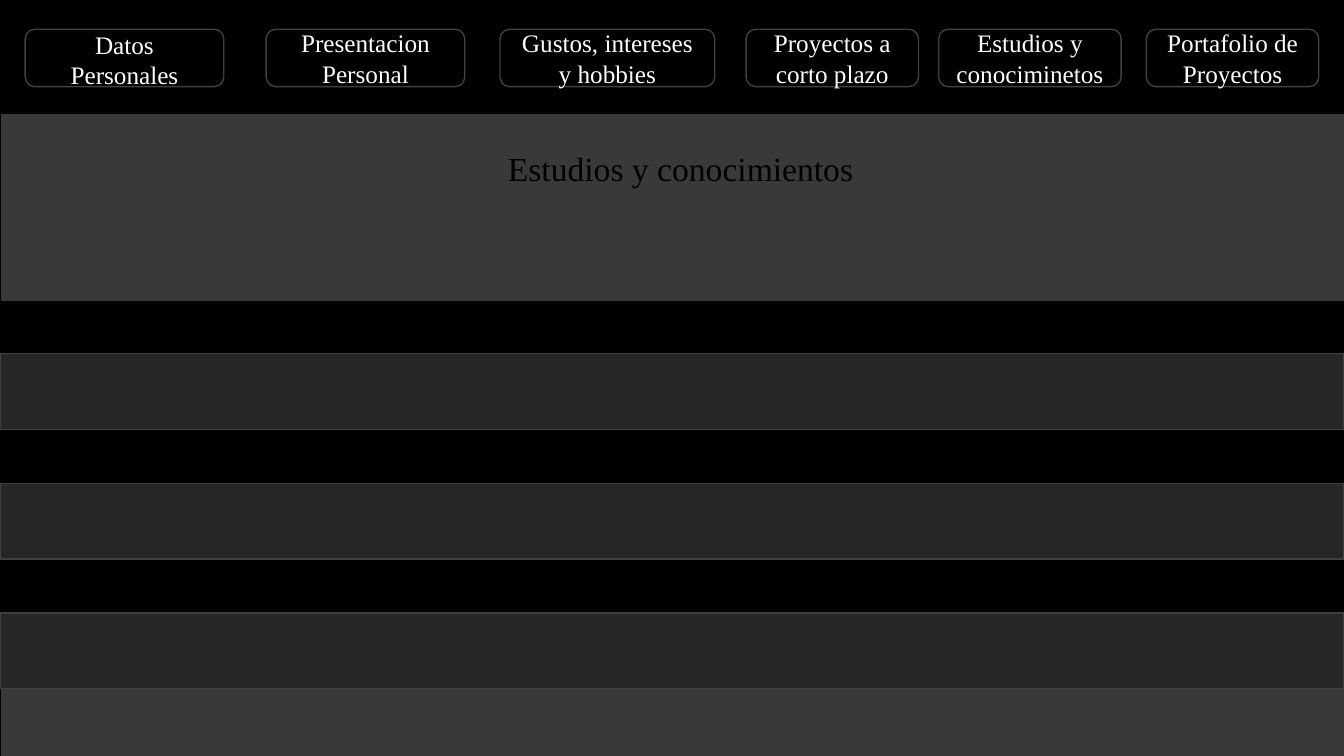
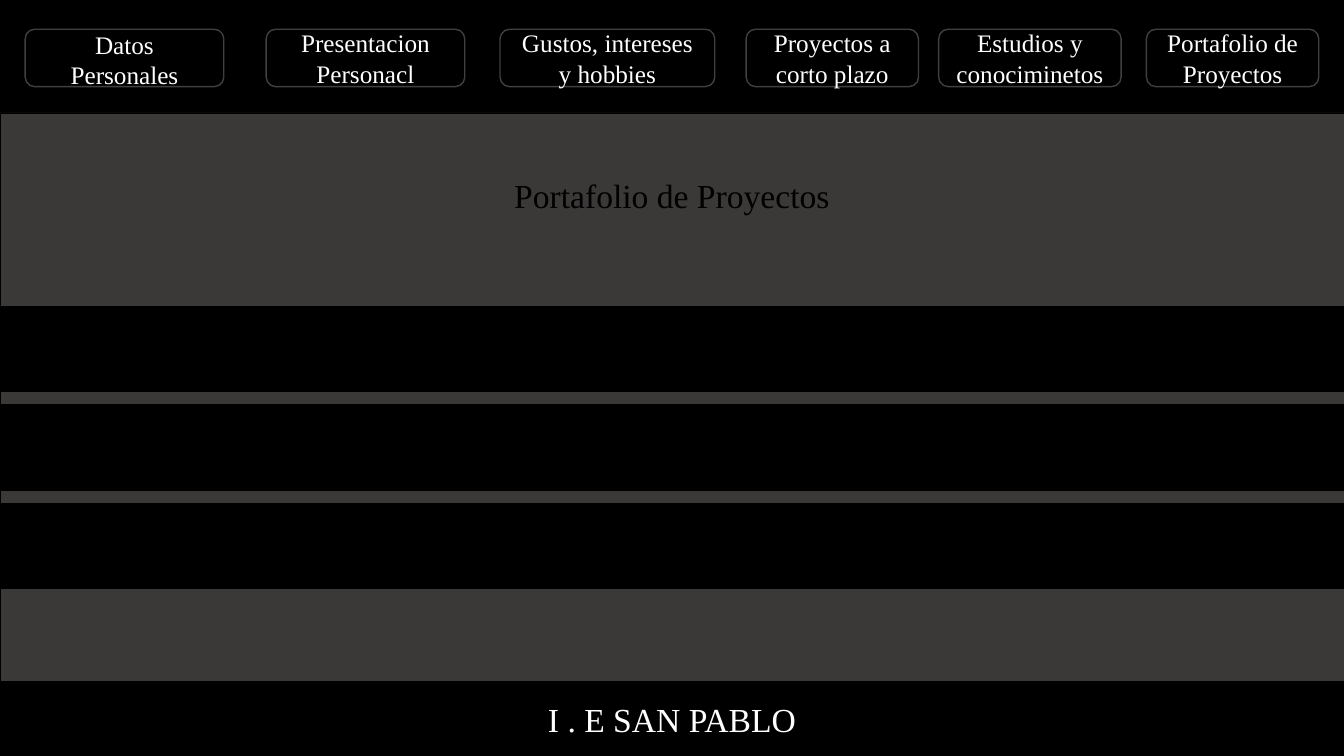
import pptx
import pptx.util
from pptx.dml.color import RGBColor
from pptx.enum.shapes import MSO_SHAPE
from pptx.enum.text import MSO_ANCHOR, MSO_AUTO_SIZE, PP_ALIGN
from pptx.util import Inches

BLACK, WHITE = "000000", "FFFFFF"
BACKDROP, PANEL, OUTLINE = "3B3838", "262626", "404040"
FONT = "Times New Roman"
WIDTH, HEIGHT = 13.33, 7.5
HEADER_BOTTOM = 1.12
BUTTON_TOP, BUTTON_HEIGHT = 0.29, 0.57

# Left edge and width of each navigation button
BUTTON_SPANS = [(0.25, 1.97), (2.64, 1.97), (4.96, 2.13),
                (7.4, 1.71), (9.31, 1.81), (11.37, 1.71)]

# Bands are (top, height, fill, line)
study_bands = [(2.99 + 1.28 * i, 0.53, BLACK, BLACK) for i in range(3)]
study_bands += [(3.51 + 1.285 * i, 0.75, PANEL, OUTLINE) for i in range(3)]
project_bands = [(3.04 + 0.98 * i, 0.84, BLACK, BLACK) for i in range(3)]

PAGES = [
    {"title": "Estudios y conocimientos", "title_at": (4.18, 1.42, 5.14, 0.5),
     "presentation": "Presentacion Personal", "bands": study_bands, "footer": None},
    {"title": "Portafolio de Proyectos", "title_at": (3.68, 1.69, 5.97, 0.5),
     "presentation": "Presentacion Personacl", "bands": project_bands,
     "footer": "I . E SAN PABLO"},
]


def add_box(slide, at, fill, line, line_width=1, preset=MSO_SHAPE.RECTANGLE):
    box = slide.shapes.add_shape(preset, *map(Inches, at))
    box.shadow.inherit = False
    box.fill.solid()
    box.fill.fore_color.rgb = RGBColor.from_string(fill)
    box.line.color.rgb = RGBColor.from_string(line)
    box.line.width = pptx.util.Pt(line_width)
    return box


def write(shape, runs, size, color):
    """Fill the shape with one centred paragraph made of the given runs."""
    shape.text_frame.word_wrap = True
    paragraph = shape.text_frame.paragraphs[0]
    paragraph.alignment = PP_ALIGN.CENTER
    paragraph.font.name = FONT
    paragraph.font.size = pptx.util.Pt(size)
    paragraph.font.color.rgb = RGBColor.from_string(color)
    for text in runs:
        paragraph.add_run().text = text
    return paragraph


deck = pptx.Presentation()
deck.slide_width, deck.slide_height = Inches(WIDTH), Inches(HEIGHT)

for page in PAGES:
    slide = deck.slides.add_slide(deck.slide_layouts[6])
    add_box(slide, (0, -0.07, WIDTH, 1.2), BLACK, BLACK)
    add_box(slide, (0, HEADER_BOTTOM, WIDTH, HEIGHT - HEADER_BOTTOM),
            BACKDROP, BLACK, 0.5)
    for top, height, fill, line in page["bands"]:
        add_box(slide, (0, top, WIDTH, height), fill, line)

    labels = [["Datos", " ", "Personales"], [page["presentation"]],
              ["Gustos, intereses y hobbies"], ["Proyectos a corto plazo"],
              ["Estudios y conociminetos"], ["Portafolio de Proyectos"]]
    for (left, width), label in zip(BUTTON_SPANS, labels):
        button = add_box(slide, (left, BUTTON_TOP, width, BUTTON_HEIGHT),
                         BLACK, OUTLINE, preset=MSO_SHAPE.ROUNDED_RECTANGLE)
        button.text_frame.vertical_anchor = MSO_ANCHOR.MIDDLE
        for run in write(button, label, 18, WHITE).runs:
            if run.text == " ":
                run.font.size = pptx.util.Pt(20)

    title = slide.shapes.add_textbox(*map(Inches, page["title_at"]))
    write(title, [page["title"]], 24, BLACK)
    title.text_frame.auto_size = MSO_AUTO_SIZE.SHAPE_TO_FIT_TEXT

    if page["footer"]:
        footer = add_box(slide, (0, 6.76, WIDTH, 0.74), BLACK, BLACK)
        footer.text_frame.vertical_anchor = MSO_ANCHOR.MIDDLE
        write(footer, [page["footer"]], 24, WHITE)

deck.save("out.pptx")
